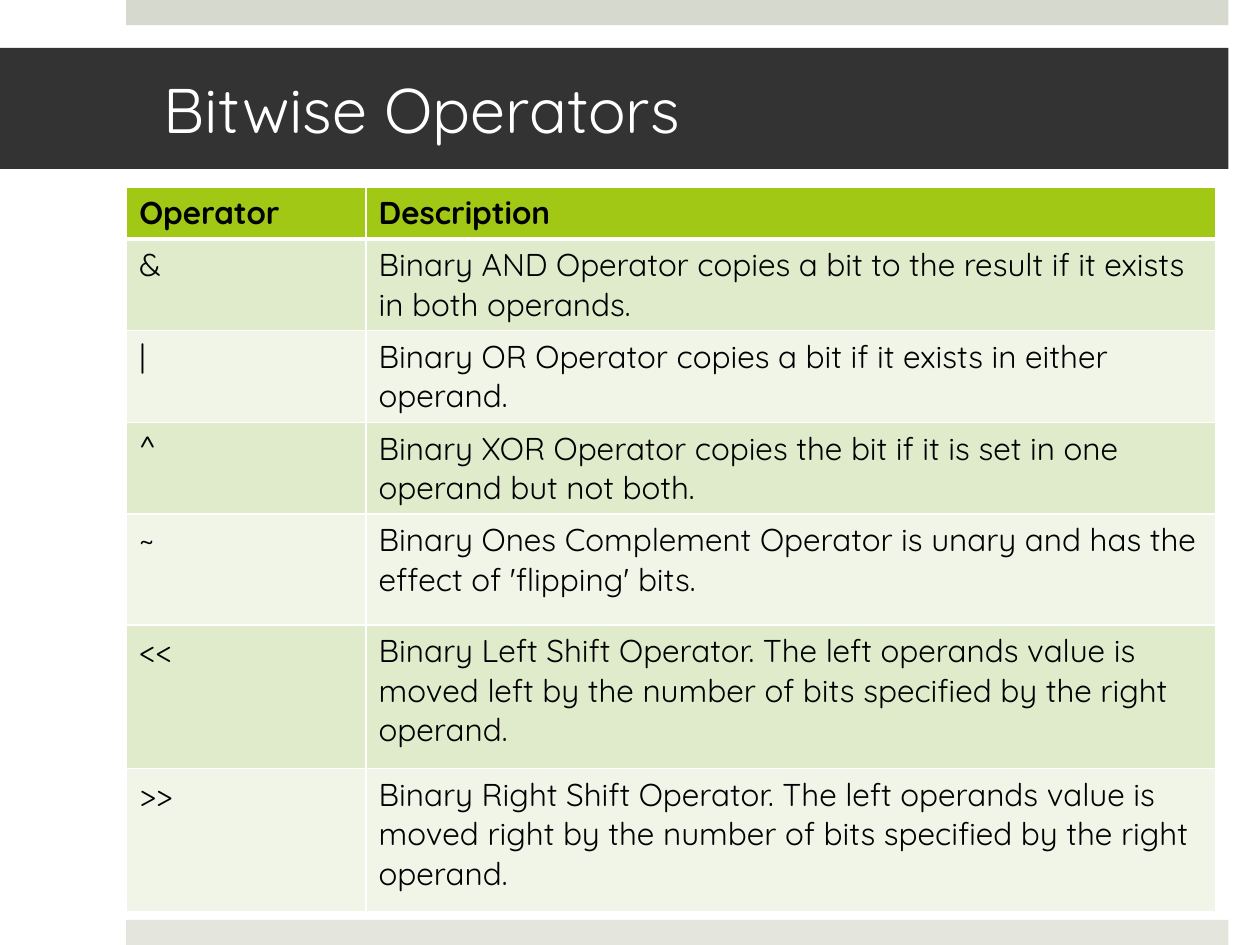
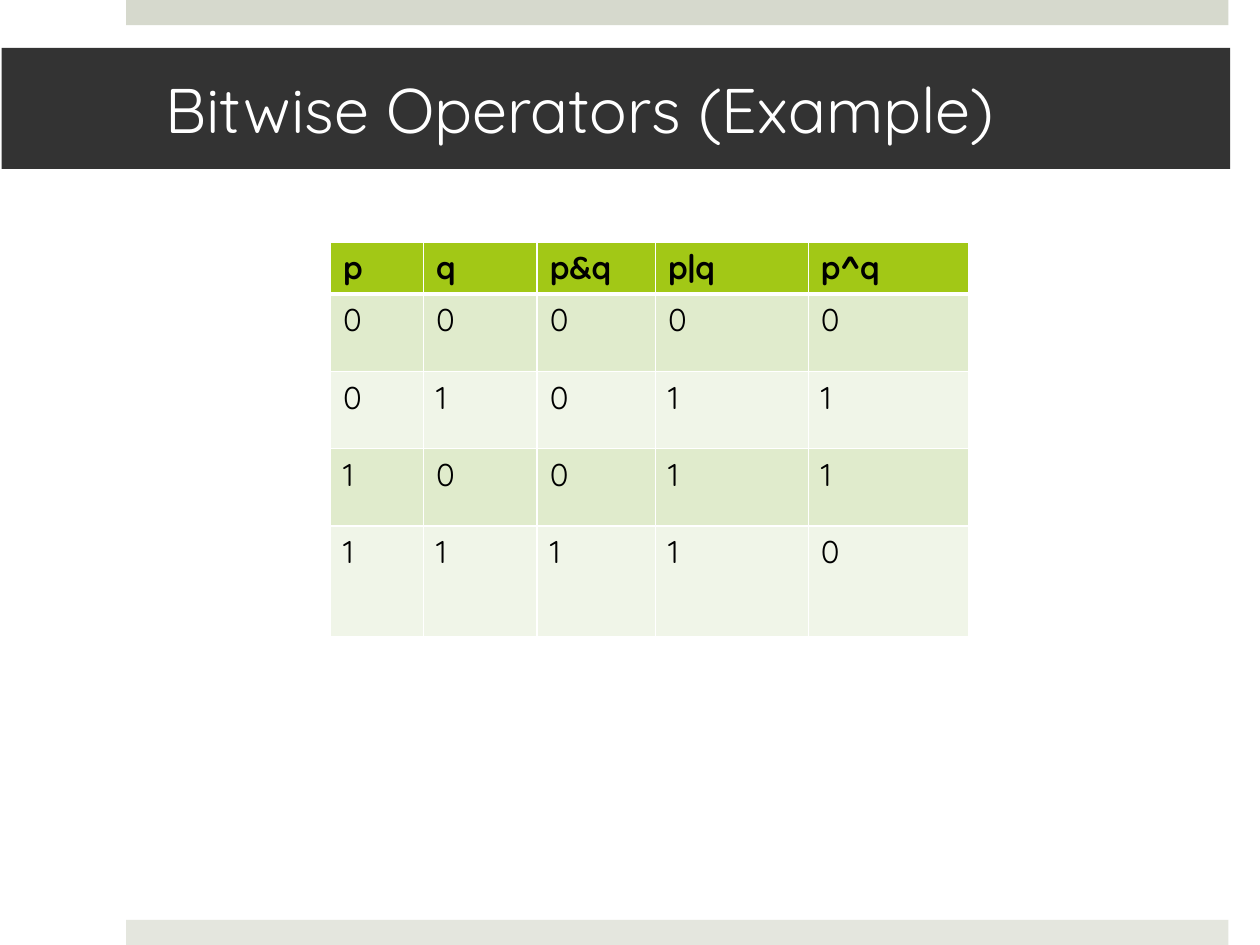
from dataclasses import dataclass

from lxml import etree
from pptx import Presentation
from pptx.dml.color import RGBColor
from pptx.enum.shapes import MSO_SHAPE
from pptx.enum.text import MSO_ANCHOR, MSO_AUTO_SIZE, PP_ALIGN
from pptx.oxml.ns import qn
from pptx.slide import Slide
from pptx.table import _Cell
from pptx.text.text import TextFrame
from pptx.util import Pt

RECTANGLE = MSO_SHAPE.RECTANGLE
MIDDLE = MSO_ANCHOR.MIDDLE
LEFT = PP_ALIGN.LEFT
NO_AUTOFIT = MSO_AUTO_SIZE.NONE
TITLE_ONLY_LAYOUT = 5
FONT = "Quicksand"
COLOURS = {
    "white": "FFFFFF",
    "black": "000000",
    "title_band": "333333",
    "top_band": "D6D9CD",
    "bottom_band": "E4E6DE",
    "header": "A2C816",
    "odd_row": "E0EBCC",
    "even_row": "F0F5E8",
}
THIN, THICK = 1, 3


@dataclass(frozen=True)
class Band:
    """A horizontal strip along an edge of the slide."""

    top: float
    colour: str


@dataclass(frozen=True)
class TableSlide:
    """A titled slide with one table, measured in points."""

    title: str
    title_left: float
    table_left: float
    table_top: float
    column_widths: list[float]
    row_heights: list[float]
    rows: list[tuple[str, ...]]


BANDS = [Band(0, "top_band"), Band(525.6, "bottom_band")]

OPERATORS = [
    ("Operator", "Description"),
    ("&", "Binary AND Operator copies a bit to the result if it exists in both operands."),
    ("|", "Binary OR Operator copies a bit if it exists in either operand."),
    ("^", "Binary XOR Operator copies the bit if it is set in one operand but not both."),
    ("~", "Binary Ones Complement Operator is unary and has the effect of 'flipping' bits."),
    ("<<", "Binary Left Shift Operator. The left operands value is moved left by "
           "the number of bits specified by the right operand."),
    (">>", "Binary Right Shift Operator. The left operands value is moved right by "
           "the number of bits specified by the right operand."),
]
TRUTH_TABLE = [("p", "q", "p&q", "p|q", "p^q")] + [
    (str(p), str(q), str(p & q), str(p | q), str(p ^ q)) for p in (0, 1) for q in (0, 1)
]

SLIDES = [
    TableSlide("Bitwise Operators", 0, 72.4, 106.8, [136.8, 485.3],
               [28.8] + [50.4] * 3 + [63.4] + [82.1] * 2, OPERATORS),
    TableSlide("Bitwise Operators (Example)", 0.9, 188.9, 138.2,
               [53.2, 64.9, 67.6, 87.4, 91.4],
               [28.8] + [44.2] * 3 + [63.4], TRUTH_TABLE),
]


def colour(name: str) -> RGBColor:
    """Look up a named colour."""
    return RGBColor.from_string(COLOURS[name])


def write_text(frame: TextFrame, text: str, *, size: float, colour_name: str,
               bold: bool = False) -> None:
    """Write one left-aligned paragraph in the shared font."""
    frame.word_wrap = True
    paragraph = frame.paragraphs[0]
    paragraph.alignment = LEFT
    run = paragraph.add_run()
    run.text = text
    run.font.name = FONT
    run.font.size = Pt(size)
    run.font.bold = bold
    run.font.color.rgb = colour(colour_name)


def set_borders(cell: _Cell, *, top: float, bottom: float) -> None:
    """Give a cell white borders with the given top and bottom widths."""
    properties = cell._tc.get_or_add_tcPr()
    for side, width in (("L", THIN), ("R", THIN), ("T", top), ("B", bottom)):
        line = etree.SubElement(properties, qn(f"a:ln{side}"), w=str(Pt(width)))
        fill = etree.SubElement(line, qn("a:solidFill"))
        etree.SubElement(fill, qn("a:srgbClr"), val=COLOURS["white"])


def add_band(slide: Slide, band: Band) -> None:
    """Draw an edge band."""
    shape = slide.shapes.add_shape(RECTANGLE, Pt(72), Pt(band.top), Pt(630), Pt(14.4))
    shape.shadow.inherit = False
    shape.fill.solid()
    shape.fill.fore_color.rgb = colour(band.colour)
    shape.line.fill.background()


def format_title(slide: Slide, text: str, left: float) -> None:
    """Turn the title placeholder into the dark title band."""
    title = slide.shapes.title
    title.left, title.top = Pt(left), Pt(27.4)
    title.width, title.height = Pt(702), Pt(69.1)
    title.fill.solid()
    title.fill.fore_color.rgb = colour("title_band")
    frame = title.text_frame
    frame.auto_size = NO_AUTOFIT
    frame.vertical_anchor = MIDDLE
    frame.margin_left, frame.margin_right = Pt(93.6), Pt(21.6)
    frame.margin_top = frame.margin_bottom = Pt(3.6)
    write_text(frame, text, size=36, colour_name="white")


def add_table(slide: Slide, content: TableSlide) -> None:
    """Add the table with a green header and alternating rows."""
    table = slide.shapes.add_table(
        len(content.rows), len(content.column_widths),
        Pt(content.table_left), Pt(content.table_top),
        Pt(sum(content.column_widths)), Pt(sum(content.row_heights)),
    ).table
    for column, width in zip(table.columns, content.column_widths):
        column.width = Pt(width)
    for row_index, (row, height) in enumerate(zip(table.rows, content.row_heights)):
        row.height = Pt(height)
        is_header = row_index == 0
        fill_name = "header" if is_header else "odd_row" if row_index % 2 else "even_row"
        for cell, text in zip(row.cells, content.rows[row_index]):
            set_borders(cell, top=THICK if row_index == 1 else THIN,
                        bottom=THICK if is_header else THIN)
            cell.fill.solid()
            cell.fill.fore_color.rgb = colour(fill_name)
            cell.margin_left = cell.margin_right = Pt(7.2)
            cell.margin_top = cell.margin_bottom = Pt(3.6)
            write_text(cell.text_frame, text, size=18, colour_name="black", bold=is_header)


def main() -> None:
    """Build and save the presentation."""
    presentation = Presentation()
    presentation.slide_width, presentation.slide_height = Pt(720), Pt(540)
    layout = presentation.slide_layouts[TITLE_ONLY_LAYOUT]
    for content in SLIDES:
        slide = presentation.slides.add_slide(layout)
        for band in BANDS:
            add_band(slide, band)
        format_title(slide, content.title, content.title_left)
        add_table(slide, content)
    presentation.save("out.pptx")


if __name__ == "__main__":
    main()
